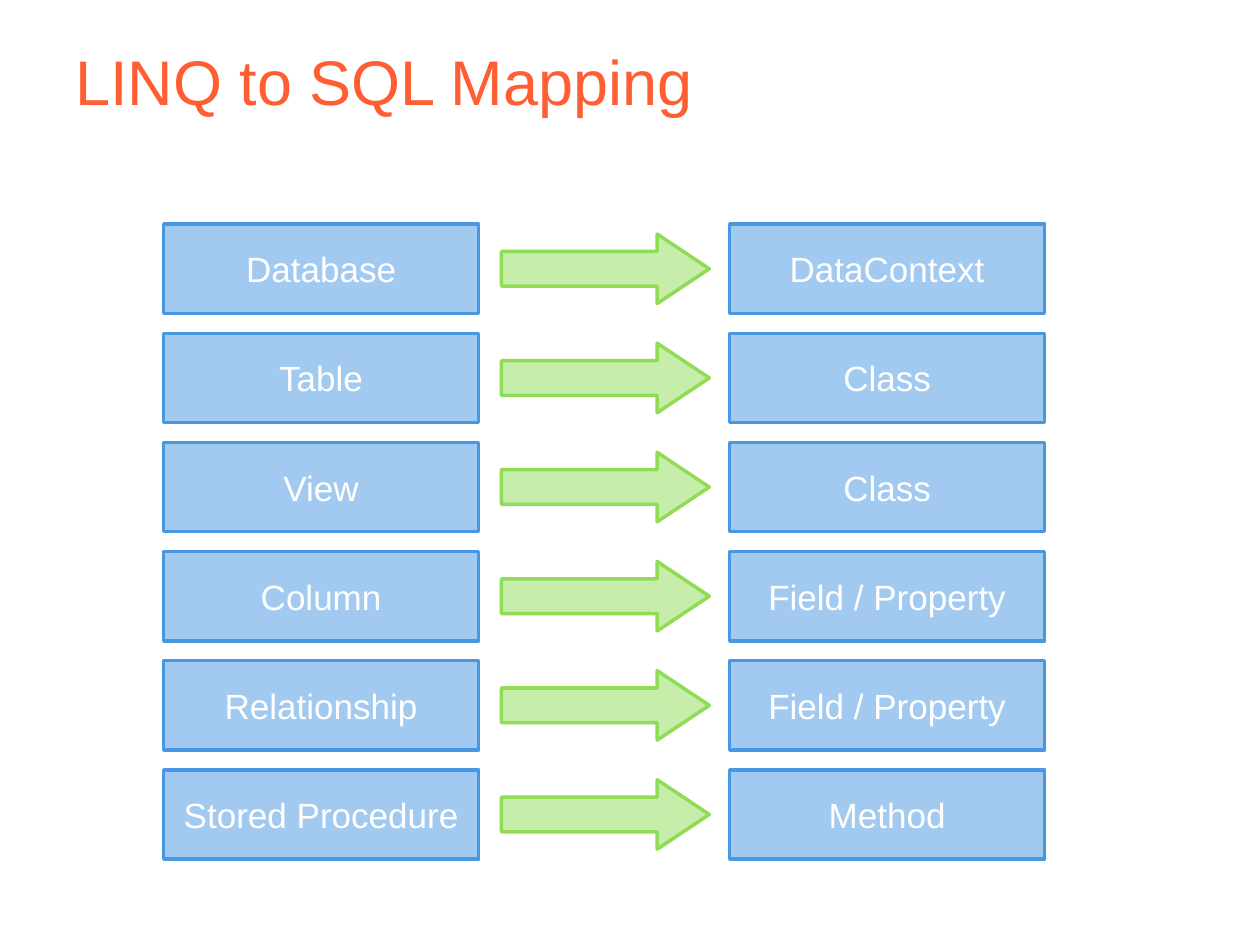
"""Build a slide that maps database objects to their LINQ to SQL counterparts."""
from lxml import etree
from pptx import Presentation
from pptx.dml.color import RGBColor
from pptx.enum import shapes, text
from pptx.oxml import ns
from pptx.util import Cm, Pt

TITLE = "LINQ to SQL Mapping"
MAPPINGS = [
    ("Database", "DataContext"),
    ("Table", "Class"),
    ("View", "Class"),
    ("Column", "Field / Property"),
    ("Relationship", "Field / Property"),
    ("Stored Procedure", "Method"),
]

FONT = "Arial"
ORANGE = RGBColor(0xFF, 0x5E, 0x32)
BLUE = RGBColor(0x47, 0x97, 0xE2)
GREEN = RGBColor(0x91, 0xDC, 0x56)
WHITE = RGBColor(0xFF, 0xFF, 0xFF)

FIRST_TOP, ROW_PITCH = 4.52, 2.2
SOURCE_LEFT, TARGET_LEFT, BOX_WIDTH, BOX_HEIGHT = 3.3, 14.71, 6.35, 1.8
ARROW_LEFT, ARROW_WIDTH, ARROW_HEIGHT = 10.11, 4.19, 1.4


def add_span(para, words, size, color):
    span = para.add_run()
    span.text = words
    span.font.name = FONT
    span.font.size = Pt(size)
    span.font.color.rgb = color


def add_title(page):
    box = page.shapes.add_textbox(Cm(1.27), Cm(0.61), Cm(22.86), Cm(3.18))
    box.text_frame.word_wrap = True
    box.text_frame.margin_top = Cm(0.25)
    add_span(box.text_frame.paragraphs[0], TITLE, 36, ORANGE)


def add_tinted_shape(page, kind, left, middle, width, height, color):
    shape = page.shapes.add_shape(
        kind, Cm(left), Cm(middle - height / 2), Cm(width), Cm(height))
    shape.shadow.inherit = False
    shape.fill.solid()
    shape.fill.fore_color.rgb = color
    tint = shape.fill._xPr.find(".//" + ns.qn("a:srgbClr"))
    etree.SubElement(tint, ns.qn("a:alpha")).set("val", "50000")
    shape.line.color.rgb = color
    shape.line.width = Pt(2)
    return shape


def add_label_box(page, left, middle, words):
    box = add_tinted_shape(page, shapes.MSO_SHAPE.ROUNDED_RECTANGLE,
                           left, middle, BOX_WIDTH, BOX_HEIGHT, BLUE)
    box.adjustments[0] = 0
    frame = box.text_frame
    frame.word_wrap = False
    frame.vertical_anchor = text.MSO_ANCHOR.MIDDLE
    para = frame.paragraphs[0]
    para.alignment = text.PP_ALIGN.CENTER
    add_span(para, words, 20, WHITE)


def add_arrow(page, middle):
    arrow = add_tinted_shape(page, shapes.MSO_SHAPE.RIGHT_ARROW,
                             ARROW_LEFT, middle, ARROW_WIDTH, ARROW_HEIGHT, GREEN)
    arrow.adjustments[0] = 0.5
    arrow.adjustments[1] = 0.75


def main():
    deck = Presentation()
    deck.slide_width, deck.slide_height = Cm(25.4), Cm(19.05)
    page = deck.slides.add_slide(deck.slide_layouts[6])
    add_title(page)
    for row, (source, target) in enumerate(MAPPINGS):
        middle = FIRST_TOP + BOX_HEIGHT / 2 + row * ROW_PITCH
        add_label_box(page, SOURCE_LEFT, middle, source)
        add_label_box(page, TARGET_LEFT, middle, target)
        add_arrow(page, middle)
    deck.save("out.pptx")


if __name__ == "__main__":
    main()
